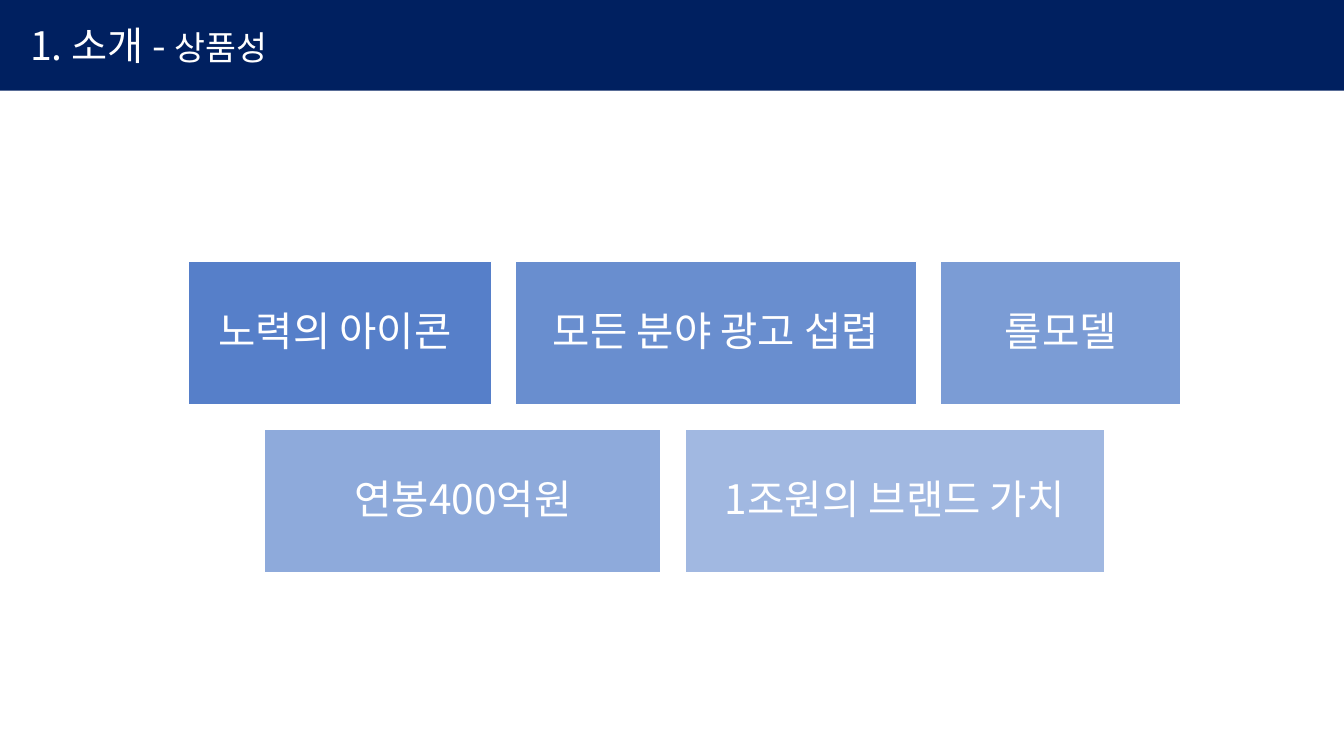
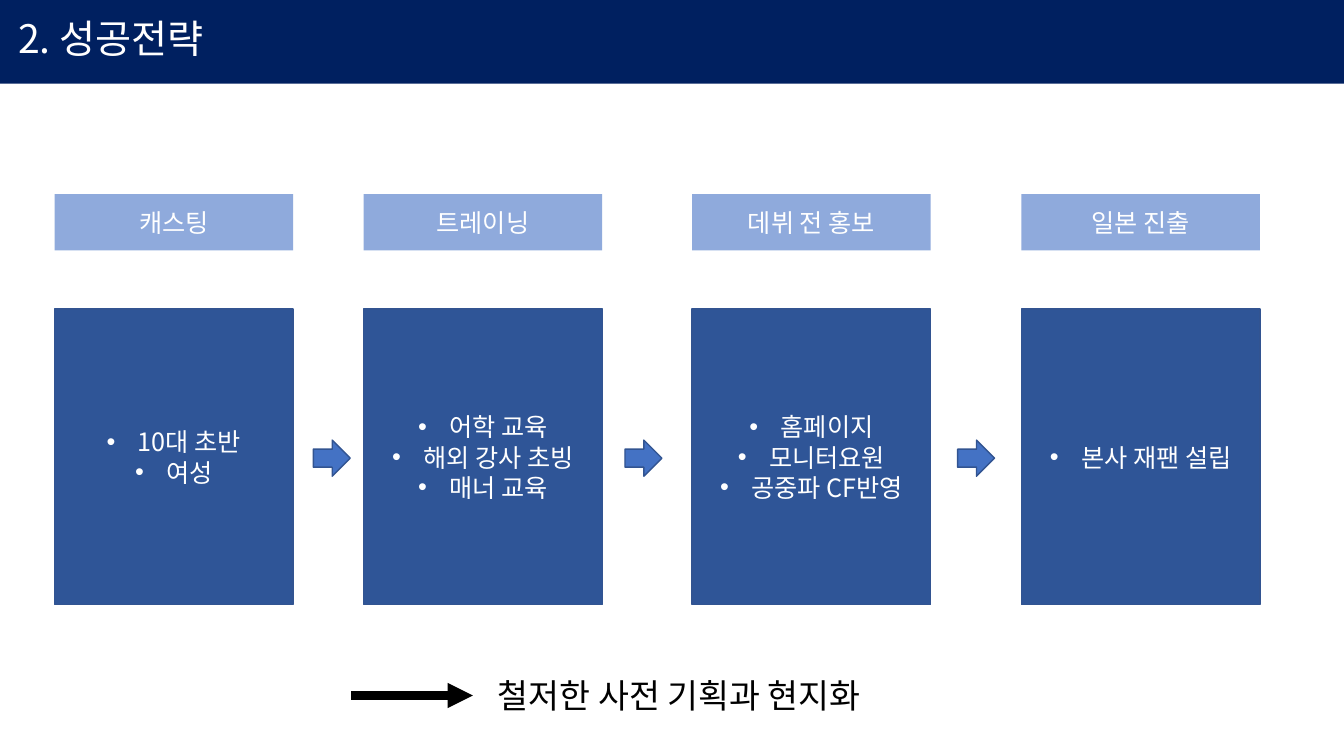
from dataclasses import dataclass
from typing import Optional

from lxml.etree import SubElement
from pptx import Presentation
from pptx.dml.color import RGBColor
from pptx.enum.shapes import MSO_CONNECTOR, MSO_SHAPE
from pptx.enum.text import MSO_ANCHOR, PP_ALIGN
from pptx.oxml.ns import qn
from pptx.shapes.autoshape import Shape
from pptx.slide import Slide
from pptx.text.text import TextFrame
from pptx.util import Inches, Pt

COLUMNS, ROWS = 160, 90
CELLS_PER_INCH = 12


@dataclass(frozen=True)
class Theme:
    font: str = "Noto Sans CJK KR"
    navy: str = "002060"
    blue: str = "4472C4"
    outline: str = "325491"
    panel: str = "2F5597"
    heading: str = "8FAADC"
    white: str = "FFFFFF"
    black: str = "000000"
    title: float = 28
    subtitle: float = 24
    card: float = 29
    body: float = 18
    conclusion: float = 24


THEME = Theme()


@dataclass(frozen=True)
class Area:
    column: float
    row: float
    columns: float
    rows: float


@dataclass(frozen=True)
class Words:
    text: str
    size: float
    color: str = THEME.white


@dataclass(frozen=True)
class Strength:
    text: str
    columns: float
    opacity: int


@dataclass(frozen=True)
class Stage:
    heading: str
    points: tuple[str, ...]
    column: float
    arrow_column: Optional[float] = None


STRENGTH_ROWS = (
    (
        Strength("노력의 아이콘 ", 36.1, 90),
        Strength("모든 분야 광고 섭렵", 47.7, 80),
        Strength("롤모델", 28.6, 70),
    ),
    (
        Strength("연봉400억원", 47.2, 60),
        Strength("1조원의 브랜드 가치", 49.9, 50),
    ),
)

STAGES = (
    Stage("캐스팅", ("10대 초반", "여성"), 6.5, 37.3),
    Stage("트레이닝", ("어학 교육", "해외 강사 초빙", "매너 교육"), 43.3, 74.4),
    Stage("데뷔 전 홍보", ("홈페이지", "모니터요원", "공중파 CF반영"), 82.4, 114),
    Stage("일본 진출", ("본사 재팬 설립",), 121.6),
)


def cells(count: float) -> int:
    return Inches(count / CELLS_PER_INCH)


def bounds(area: Area) -> tuple[int, int, int, int]:
    return cells(area.column), cells(area.row), cells(area.columns), cells(area.rows)


def add_block(
    slide: Slide,
    area: Area,
    fill: str,
    outline: Optional[str] = None,
    opacity: int = 100,
    kind: MSO_SHAPE = MSO_SHAPE.RECTANGLE,
) -> Shape:
    block = slide.shapes.add_shape(kind, *bounds(area))
    block.shadow.inherit = False
    block.fill.solid()
    block.fill.fore_color.rgb = RGBColor.from_string(fill)
    if opacity < 100:
        tint = block.fill._xPr.find(qn("a:solidFill"))[0]
        SubElement(tint, qn("a:alpha"), val=str(opacity * 1000))
    if outline:
        block.line.color.rgb = RGBColor.from_string(outline)
        block.line.width = Pt(1)
    else:
        block.line.fill.background()
    return block


def write(
    frame: TextFrame,
    paragraphs: list[list[Words]],
    align: PP_ALIGN = PP_ALIGN.CENTER,
    bulleted: bool = False,
    line_spacing: float = 1.0,
) -> None:
    frame.word_wrap = True
    frame.vertical_anchor = MSO_ANCHOR.MIDDLE
    for index, pieces in enumerate(paragraphs):
        paragraph = frame.add_paragraph() if index else frame.paragraphs[0]
        paragraph.alignment = align
        paragraph.line_spacing = line_spacing
        if bulleted:
            properties = paragraph._p.get_or_add_pPr()
            properties.set("marL", str(Inches(0.31)))
            properties.set("indent", str(-Inches(0.31)))
            SubElement(properties, qn("a:buFont"), typeface="Arial")
            SubElement(properties, qn("a:buChar"), char="•")
        for piece in pieces:
            run = paragraph.add_run()
            run.text = piece.text
            run.font.size = Pt(piece.size)
            run.font.name = THEME.font
            run.font.color.rgb = RGBColor.from_string(piece.color)
            SubElement(run._r.get_or_add_rPr(), qn("a:ea"), typeface=THEME.font)


def add_title_band(
    slide: Slide, title: list[Words], rows: float, left: float, bottom: float
) -> None:
    band = add_block(slide, Area(0, 0, COLUMNS, rows), THEME.navy)
    band.text_frame.margin_left = Inches(left)
    band.text_frame.margin_bottom = Inches(bottom)
    write(band.text_frame, [title], PP_ALIGN.LEFT)


def add_strengths(slide: Slide) -> None:
    center, top, height, gap = 81.5, 31.1, 17.1, 2.9
    for index, strengths in enumerate(STRENGTH_ROWS):
        total = sum(item.columns for item in strengths) + gap * (len(strengths) - 1)
        column = center - total / 2
        row = top + index * (height + gap)
        for item in strengths:
            area = Area(column, row, item.columns, height)
            card = add_block(slide, area, THEME.blue, THEME.white, item.opacity)
            frame = card.text_frame
            frame.margin_left = frame.margin_right = Inches(0.12)
            frame.margin_top = frame.margin_bottom = Inches(0.12)
            write(frame, [[Words(item.text, THEME.card)]], line_spacing=0.9)
            column += item.columns + gap


def add_stage(slide: Slide, stage: Stage) -> None:
    width = 28.4
    heading = add_block(slide, Area(stage.column, 23.1, width, 6.7), THEME.heading)
    write(heading.text_frame, [[Words(stage.heading, THEME.body)]])
    details = add_block(
        slide, Area(stage.column, 36.8, width, 35.2), THEME.panel, THEME.outline
    )
    points = [[Words(point, THEME.body)] for point in stage.points]
    write(details.text_frame, points, bulleted=True)
    if stage.arrow_column is not None:
        add_block(
            slide,
            Area(stage.arrow_column, 52.4, 4.4, 4.3),
            THEME.blue,
            THEME.outline,
            kind=MSO_SHAPE.RIGHT_ARROW,
        )


def add_conclusion(slide: Slide) -> None:
    middle = cells(82.8)
    pointer = slide.shapes.add_connector(
        MSO_CONNECTOR.STRAIGHT, cells(41.8), middle, cells(56.3), middle
    )
    pointer.line.color.rgb = RGBColor.from_string(THEME.black)
    pointer.line.width = Pt(6)
    SubElement(pointer.line._get_or_add_ln(), qn("a:tailEnd"), type="triangle")
    SubElement(pointer._element.spPr, qn("a:effectLst"))
    conclusion = slide.shapes.add_textbox(*bounds(Area(58.1, 79.8, 101.9, 6)))
    words = Words("철저한 사전 기획과 현지화", THEME.conclusion, THEME.black)
    write(conclusion.text_frame, [[words]], PP_ALIGN.LEFT)


def main() -> None:
    deck = Presentation()
    deck.slide_width = cells(COLUMNS)
    deck.slide_height = cells(ROWS)
    blank = deck.slide_layouts[6]

    appeal = deck.slides.add_slide(blank)
    appeal_title = [
        Words("1. 소개 - ", THEME.title),
        Words("상품성", THEME.subtitle),
    ]
    add_title_band(appeal, appeal_title, rows=10.8, left=0.3, bottom=0.05)
    add_strengths(appeal)

    strategy = deck.slides.add_slide(blank)
    strategy_title = [Words("2. 성공전략", THEME.title)]
    add_title_band(strategy, strategy_title, rows=9.96, left=0.18, bottom=0.12)
    for stage in STAGES:
        add_stage(strategy, stage)
    add_conclusion(strategy)

    deck.save("out.pptx")


if __name__ == "__main__":
    main()
